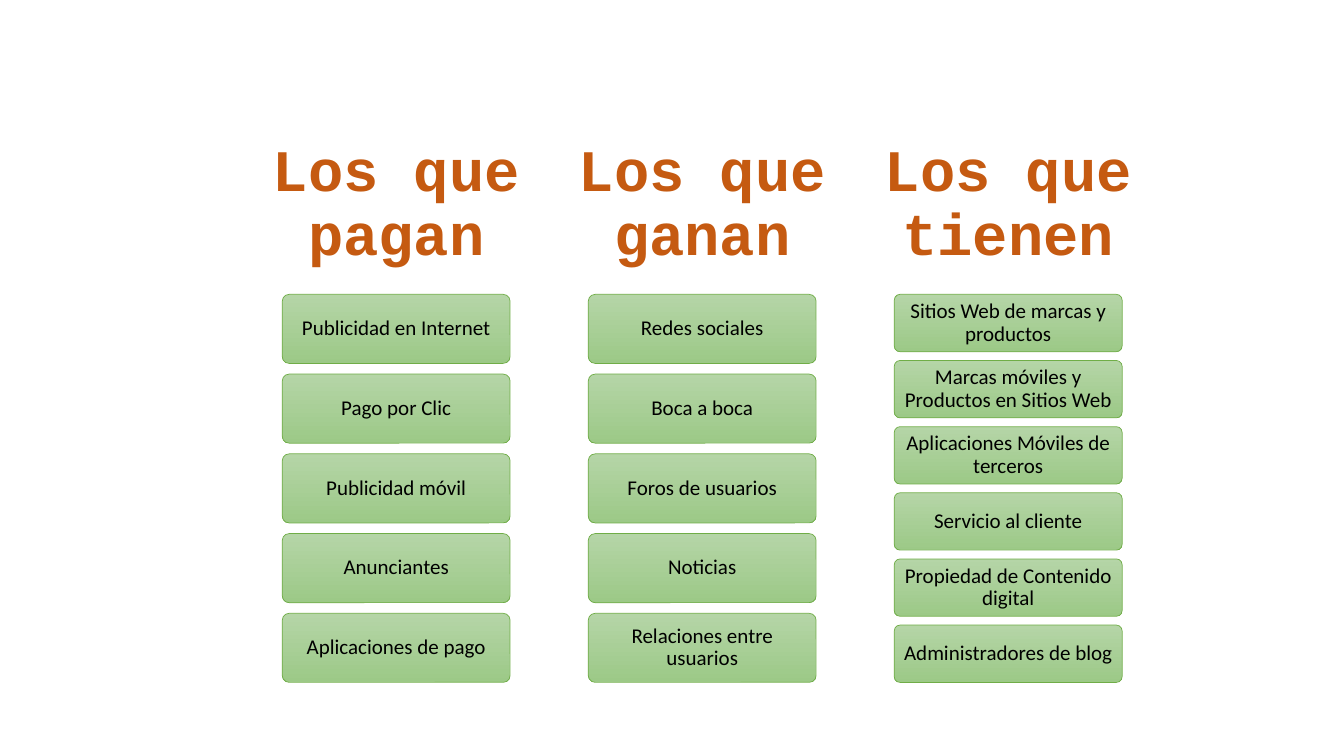
import pptx
import pptx.dml.color
import pptx.enum.shapes
import pptx.enum.text
import pptx.util

Inches = pptx.util.Inches
Pt = pptx.util.Pt
RGBColor = pptx.dml.color.RGBColor

WHITE = RGBColor(0xFF, 0xFF, 0xFF)
BLACK = RGBColor(0x00, 0x00, 0x00)
ORANGE = RGBColor(0xC5, 0x5A, 0x11)
GREEN = RGBColor(0x70, 0xAD, 0x47)
LIGHT_GREEN = RGBColor(0xB5, 0xD5, 0xA7)
MEDIUM_GREEN = RGBColor(0x9C, 0xC9, 0x87)

COLUMNS = [
    ("Los que pagan", 2.25, [
        "Publicidad en Internet", "Pago por Clic", "Publicidad móvil",
        "Anunciantes", "Aplicaciones de pago"]),
    ("Los que ganan", 1.5, [
        "Redes sociales", "Boca a boca", "Foros de usuarios",
        "Noticias", "Relaciones entre usuarios"]),
    ("Los que tienen", 1.5, [
        "Sitios Web de marcas y productos",
        "Marcas móviles y Productos en Sitios Web",
        "Aplicaciones Móviles de terceros", "Servicio al cliente",
        "Propiedad de Contenido digital", "Administradores de blog"]),
]
COLUMN_WIDTH = 2.82
COLUMN_HEIGHT = 5.93
COLUMN_PITCH = 3.035
HEADING_HEIGHT = 1.78
CARDS_HEIGHT = 3.85
CARD_WIDTH = 2.26
GAP_RATIO = 2 / 13


def write_text(shape, text, font_name, size, color, bold, side_inset, end_inset):
    frame = shape.text_frame
    frame.word_wrap = True
    frame.vertical_anchor = pptx.enum.text.MSO_ANCHOR.MIDDLE
    frame.margin_left = frame.margin_right = Inches(side_inset)
    frame.margin_top = frame.margin_bottom = Inches(end_inset)
    para = frame.paragraphs[0]
    para.alignment = pptx.enum.text.PP_ALIGN.CENTER
    para.line_spacing = 0.9
    span = para.add_run()
    span.text = text
    span.font.name = font_name
    span.font.size = Pt(size)
    span.font.bold = bold
    span.font.color.rgb = color


def add_rounded_box(page, left, top, width, height, line_color, line_width):
    box = page.shapes.add_shape(
        pptx.enum.shapes.MSO_SHAPE.ROUNDED_RECTANGLE,
        Inches(left), Inches(top), Inches(width), Inches(height))
    box.adjustments[0] = 0.1
    box.shadow.inherit = False
    box.line.color.rgb = line_color
    box.line.width = Pt(line_width)
    return box


def add_card(page, left, top, width, height, text):
    card = add_rounded_box(page, left, top, width, height, GREEN, 0.5)
    card.fill.gradient()
    card.fill.gradient_angle = 270
    for stop, color in zip(card.fill.gradient_stops, (LIGHT_GREEN, MEDIUM_GREEN)):
        stop.color.rgb = color
    write_text(card, text, "Calibri", 15, BLACK, False, 0.06, 0.05)


def add_column(page, left, top, width, height, heading, line_width, items):
    panel = add_rounded_box(page, left, top, width, height, WHITE, line_width)
    panel.fill.background()
    title = page.shapes.add_textbox(
        Inches(left), Inches(top), Inches(width), Inches(HEADING_HEIGHT))
    write_text(title, heading, "Courier New", 42, ORANGE, True, 0.17, 0.17)

    count = len(items)
    card_height = CARDS_HEIGHT / (count + (count - 1) * GAP_RATIO)
    card_pitch = card_height * (1 + GAP_RATIO)
    card_left = left + (width - CARD_WIDTH) / 2
    for index, item in enumerate(items):
        card_top = top + HEADING_HEIGHT + index * card_pitch
        add_card(page, card_left, card_top, CARD_WIDTH, card_height, item)


def add_media_columns(page, left, top):
    for index, (heading, line_width, items) in enumerate(COLUMNS):
        add_column(page, left + index * COLUMN_PITCH, top,
                   COLUMN_WIDTH, COLUMN_HEIGHT, heading, line_width, items)


def main():
    deck = pptx.Presentation()
    deck.slide_width = Inches(13.33)
    deck.slide_height = Inches(7.5)
    page = deck.slides.add_slide(deck.slide_layouts[6])
    add_media_columns(page, 2.52, 1.14)
    deck.save("out.pptx")


if __name__ == "__main__":
    main()
